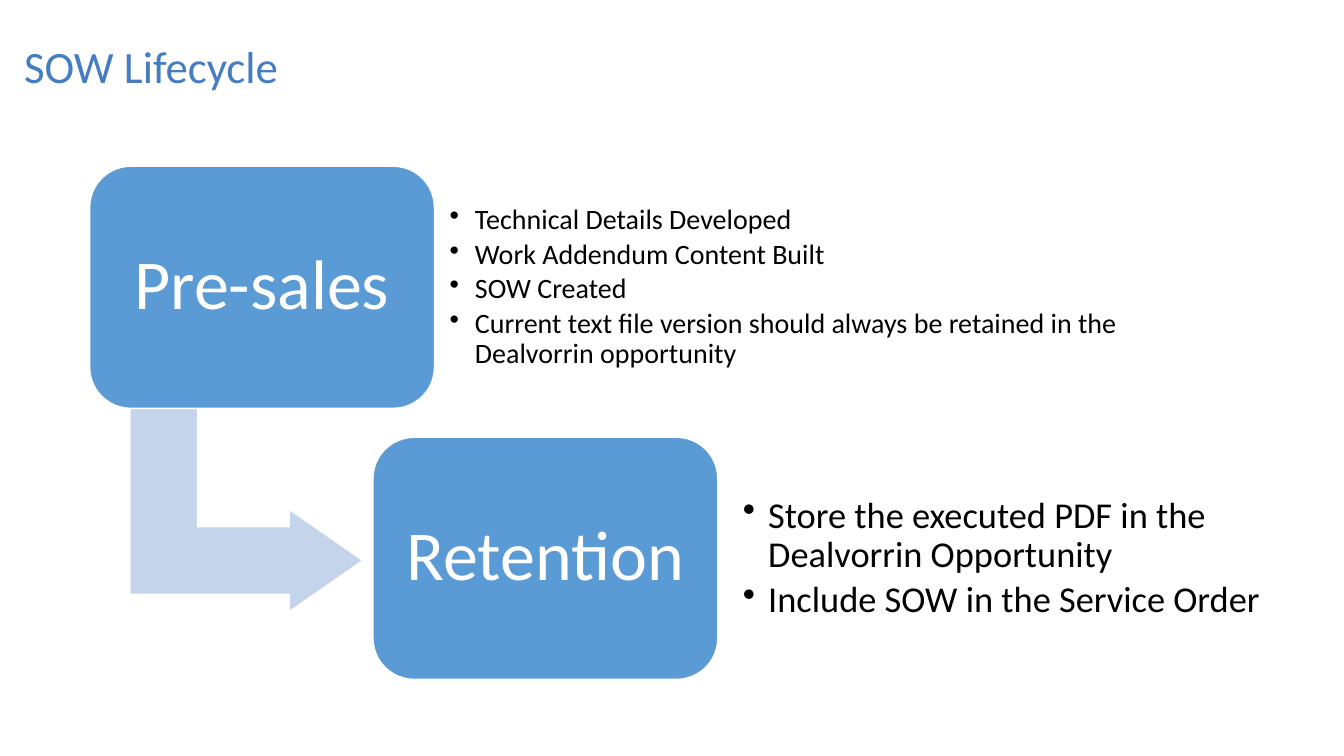
from lxml.etree import SubElement
from pptx import Presentation
from pptx.dml.color import RGBColor
from pptx.enum.shapes import MSO_SHAPE as Preset
from pptx.enum.text import MSO_ANCHOR as Anchor, PP_ALIGN as Align
from pptx.oxml.ns import qn
from pptx.util import Cm, Pt

COLORS = {
    "title": "467CC0",
    "step": "5B9BD5",
    "arrow": "C4D5EB",
    "white": "FFFFFF",
    "black": "000000",
}


def write(frame, text, size=20, color="black", align=Align.LEFT, inset=0.25, after=0, bullet=False):
    frame.word_wrap = True
    frame.vertical_anchor = Anchor.MIDDLE
    frame.margin_left = frame.margin_right = Cm(inset)
    frame.margin_top = frame.margin_bottom = Cm(min(inset, 0.53))
    frame.text = text
    for paragraph in frame.paragraphs:
        paragraph.alignment = align
        paragraph.line_spacing = 0.9
        paragraph.space_after = Pt(after)
        paragraph.font.name = "Calibri"
        paragraph.font.size = Pt(size)
        paragraph.font.color.rgb = RGBColor.from_string(COLORS[color])
        if bullet:
            props = paragraph._p.get_or_add_pPr()
            props.set("marL", str(Cm(0.64)))
            props.set("indent", str(-Cm(0.64)))
            mark = SubElement(props, qn("a:buChar"), char="•")
            default_run = props.find(qn("a:defRPr"))
            if default_run is not None:
                default_run.addprevious(mark)


def add_block(preset, left, top, width, height, color, adjustments):
    block = slide.shapes.add_shape(preset, Cm(left), Cm(top), Cm(width), Cm(height))
    block.shadow.inherit = False
    block.fill.solid()
    block.fill.fore_color.rgb = RGBColor.from_string(COLORS[color])
    block.line.color.rgb = RGBColor.from_string(COLORS["white"])
    block.line.width = Pt(1)
    for index, value in enumerate(adjustments):
        block.adjustments[index] = value
    return block


deck = Presentation()
deck.slide_width, deck.slide_height = Cm(33.87), Cm(19.05)
slide = deck.slides.add_slide(deck.slide_layouts[6])

title = slide.shapes.add_textbox(Cm(0.36), Cm(0.64), Cm(24.64), Cm(2.21))
write(title.text_frame, "SOW Lifecycle", size=32, color="title")

turn = add_block(Preset.BENT_UP_ARROW, 3.63, 9.9, 5.16, 5.87, "arrow", (0.33, 0.25, 0.36))
turn.rotation = 90

steps = [
    ("Pre-sales", 2.26, 4.19, 11.05, 18.72, 20, 0.28, 3, [
        "Technical Details Developed",
        "Work Addendum Content Built",
        "SOW Created",
        "Current text file version should always be retained in the Dealvorrin opportunity",
    ]),
    ("Retention", 9.4, 11.02, 18.36, 14.05, 26, 0.36, 4, [
        "Store the executed PDF in the Dealvorrin Opportunity",
        "Include SOW in the Service Order",
    ]),
]
for name, left, top, details_left, details_width, size, inset, after, points in steps:
    step = add_block(Preset.ROUNDED_RECTANGLE, left, top, 8.69, 6.1, "step", (0.17,))
    write(step.text_frame, name, size=50, color="white", align=Align.CENTER, inset=0.5)
    details = slide.shapes.add_textbox(Cm(details_left), Cm(top + 0.59), Cm(details_width), Cm(4.93))
    write(details.text_frame, "\n".join(points), size=size, inset=inset, after=after, bullet=True)

deck.save("out.pptx")
